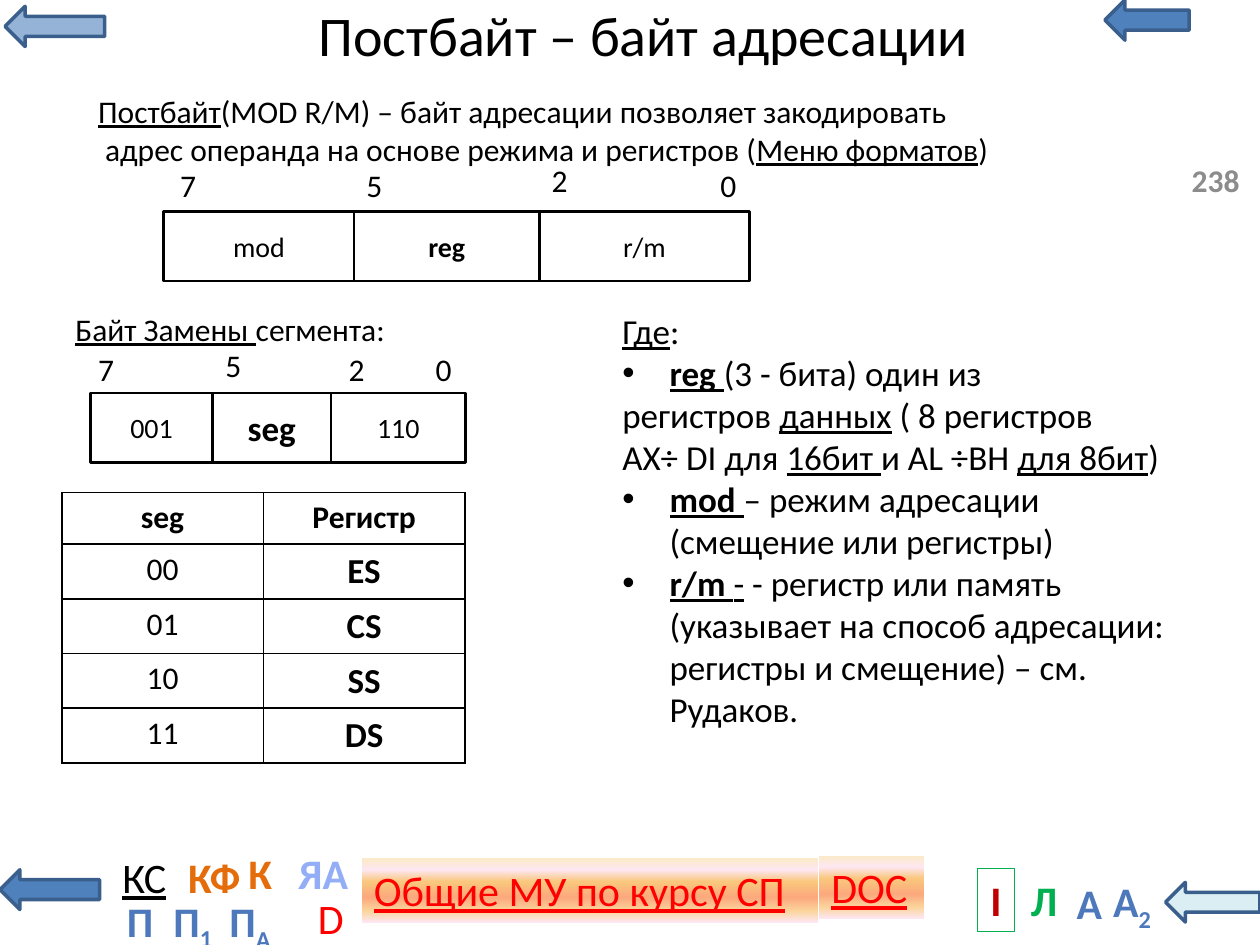
import pptx
import pptx.dml.color
import pptx.enum.shapes
import pptx.enum.text
import pptx.oxml
import pptx.oxml.ns
import pptx.util

Pt = pptx.util.Pt
RGB = pptx.dml.color.RGBColor
SHAPE = pptx.enum.shapes.MSO_SHAPE
ALIGN = pptx.enum.text.PP_ALIGN
ANCHOR = pptx.enum.text.MSO_ANCHOR
NS = pptx.oxml.ns.nsdecls("a")

BLACK = RGB(0x00, 0x00, 0x00)
WHITE = RGB(0xFF, 0xFF, 0xFF)
GRAY = RGB(0x8C, 0x8C, 0x8C)
RED = RGB(0xFF, 0x00, 0x00)
DARK_RED = RGB(0xC0, 0x00, 0x00)
GREEN = RGB(0x00, 0xB0, 0x50)
ORANGE = RGB(0xE4, 0x6C, 0x0A)
LILAC = RGB(0x93, 0xAE, 0xF7)
STEEL = RGB(0x4D, 0x79, 0xBC)
BLUE = RGB(0x4F, 0x81, 0xBD)
PALE = RGB(0x95, 0xB3, 0xD7)
ICE = RGB(0xDB, 0xEE, 0xF4)
EDGE = RGB(0x3A, 0x5F, 0x8C)
GLOW = ((0, "FBEAC7"), (18, "FEE7F2"), (36, "FAC77D"),
        (61, "FBA97D"), (82, "FBD49C"), (100, "FEE7F2"))
SHARES = (0.325, 0.316, 0.359)


def points(*box):
    return [Pt(value) for value in box]


def write(para, runs, size, color=BLACK, align=None):
    """Fill a paragraph from (text, marks) pairs: b bold, u underline, s subscript."""
    para.alignment = align
    for text, marks in runs:
        run = para.add_run()
        run.text = text
        font = run.font
        font.name, font.size = "Calibri", Pt(size)
        font.bold, font.underline = "b" in marks, "u" in marks
        font.color.rgb = color
        if "s" in marks:
            run._r.get_or_add_rPr().set("baseline", "-25000")


def add_text(slide, box, lines, size, color=BLACK, align=None, wrap=True, anchor=ANCHOR.TOP):
    frame = slide.shapes.add_textbox(*points(*box)).text_frame
    frame.word_wrap, frame.vertical_anchor = wrap, anchor
    for index, runs in enumerate(lines):
        para = frame.add_paragraph() if index else frame.paragraphs[0]
        write(para, runs, size, color, align)
    return frame


def add_shape(shapes, kind, box, fill=None, line=None, width=0.75):
    shape = shapes.add_shape(kind, *points(*box))
    shape.shadow.inherit = False
    if fill is None:
        shape.fill.background()
    else:
        shape.fill.solid()
        shape.fill.fore_color.rgb = fill
    if line is None:
        shape.line.fill.background()
    else:
        shape.line.color.rgb, shape.line.width = line, Pt(width)
    return shape


def add_link(slide, box, text):
    """A red underlined label on a glowing band."""
    shape = add_shape(slide.shapes, SHAPE.RECTANGLE, box)
    stops = "".join(f'<a:gs pos="{at * 1000}"><a:srgbClr val="{tone}"/></a:gs>'
                    for at, tone in GLOW)
    blend = pptx.oxml.parse_xml(
        f'<a:gradFill {NS} rotWithShape="1"><a:gsLst>{stops}</a:gsLst>'
        '<a:lin ang="5400000" scaled="0"/></a:gradFill>')
    props = shape._element.spPr
    props.replace(props.find(pptx.oxml.ns.qn("a:noFill")), blend)
    frame = shape.text_frame
    frame.vertical_anchor = ANCHOR.TOP
    write(frame.paragraphs[0], [(text, "u")], 24, RED, ALIGN.LEFT)


def add_frame(slide, box, text, marks, color, line):
    shape = add_shape(slide.shapes, SHAPE.RECTANGLE, box, line=line)
    frame = shape.text_frame
    frame.vertical_anchor, frame.word_wrap = ANCHOR.TOP, False
    write(frame.paragraphs[0], [(text, marks)], 24, color, ALIGN.CENTER)


def add_menu(slide, box):
    """The bottom bar of links, placed from the box's left top corner."""
    left, top, width, high = box
    for x, y, wide, fill in ((0, 16, 56.9, BLUE), (width - 54, 23.2, 54, ICE)):
        add_shape(slide.shapes, SHAPE.LEFT_ARROW, (left + x, top + y, wide, 22.7), fill, EDGE, 2)
    add_link(slide, (left + 206.6, top + 9.5, 260.6, 36.7), "Общие МУ по курсу СП")
    add_link(slide, (left + 468, top + 8, 60.2, high), "DOC")
    for x, y, wide, text, marks, color, line in (
            (175, 25.4, 28.1, "D", "", RED, WHITE),
            (558.7, 15.3, 20.9, "I", "b", DARK_RED, GREEN),
            (59.8, 2.3, 45.4, "КС", "u", BLACK, WHITE)):
        add_frame(slide, (left + x, top + y, wide, high), text, marks, color, line)
    for x, y, wide, text, sub, color, wrap in (
            (607.7, 16.7, 29.5, "А", "", STEEL, False),
            (134.6, 0, 28.1, "К", "", ORANGE, False),
            (581.8, 15.3, 29.5, "Л", "", GREEN, False),
            (162, 0, 45.4, "ЯА", "", LILAC, False),
            (100.1, 2.3, 44.6, "КФ", "", ORANGE, False),
            (627.8, 16, 38.2, "А", "2", STEEL, True),
            (65.5, 27.4, 23.8, "П", "", STEEL, True),
            (90.7, 27, 38.9, "П", "1", STEEL, True),
            (123.1, 27.4, 39.6, "П", "А", STEEL, True)):
        runs = [(text, "b")] + ([(sub, "bs")] if sub else [])
        add_text(slide, (left + x, top + y, wide, high), [runs], 24, color, ALIGN.CENTER, wrap)


def add_byte(slide, box, fields, bits):
    """Three bit fields side by side, with bit numbers above them."""
    left, top, width, high = box
    group = slide.shapes.add_group_shape()
    x = left
    for share, (text, size, marks) in zip(SHARES, fields):
        cell = add_shape(group.shapes, SHAPE.RECTANGLE, (x, top, width * share, high),
                         WHITE, BLACK, 1.5)
        cell.text_frame.vertical_anchor = ANCHOR.MIDDLE
        write(cell.text_frame.paragraphs[0], [(text, marks)], size, align=ALIGN.CENTER)
        x += width * share
    for text, right, rise in bits:
        add_text(slide, (left + right, top - rise, 23.8, 28.8), [[(text, "")]], 18, wrap=False)


def add_codes(slide, box, rows):
    left, top, width, high = box
    head = 29.5
    table = slide.shapes.add_table(len(rows), 2, *points(*box)).table
    table.first_row = table.horz_banding = False
    for column in table.columns:
        column.width = Pt(width / 2)
    for r, row in enumerate(rows):
        table.rows[r].height = Pt((high - head) / (len(rows) - 1) if r else head)
        for c, text in enumerate(row):
            cell = table.cell(r, c)
            cell.fill.background()
            props = cell._tc.get_or_add_tcPr()
            for index, side in enumerate(("lnL", "lnR", "lnT", "lnB")):
                props.insert(index, pptx.oxml.parse_xml(
                    f'<a:{side} {NS} w="12700"><a:solidFill><a:srgbClr val="000000"/>'
                    f'</a:solidFill></a:{side}>'))
            write(cell.text_frame.paragraphs[0], [(text, "b" if c or not r else "")],
                  20 if c and r else 18, align=ALIGN.CENTER)


def add_notes(slide, box):
    """The list that explains the bit fields."""
    lines = [
        [("Где", "u"), (":", "")],
        [("reg", "bu"), (" ", "u"), ("(3 - бита) один из", "")],
        [("регистров ", ""), ("данных", "u"), (" ( 8 регистров", "")],
        [("AX÷ DI для ", ""), ("16бит ", "u"), ("и AL ÷BH ", ""), ("для 8бит", "u"), (")", "")],
        [("mod", "bu"), (" ", "u"), ("– режим адресации (смещение или регистры)", "")],
        [("r/m ", "bu"), ("-", "u"),
         (" - регистр или память (указывает на способ адресации: "
          "регистры и смещение) – см. Рудаков.", "")],
    ]
    frame = add_text(slide, box, lines, 20)
    for index in (1, 4, 5):
        props = frame.paragraphs[index]._p.get_or_add_pPr()
        props.set("marL", str(Pt(27)))
        props.set("indent", str(Pt(-27)))
        props.append(pptx.oxml.parse_xml(f'<a:buFont {NS} typeface="Arial"/>'))
        props.append(pptx.oxml.parse_xml(f'<a:buChar {NS} char="•"/>'))


def add_head(slide, box):
    left, top, width, high = box
    for x, y, wide, fill in ((2.9, 3.6, 56.9, PALE), (631.4, 0, 48.2, BLUE)):
        add_shape(slide.shapes, SHAPE.LEFT_ARROW, (left + x, top + y, wide, 23), fill, EDGE, 2)
    add_text(slide, (left + 133.2, top - 7.9, 469.4, 55.4), [[("Постбайт – байт адресации", "")]],
             32, align=ALIGN.CENTER, anchor=ANCHOR.MIDDLE)
    add_text(slide, (left + width - 46.1, top + 88.6, 46.1, 28.8), [[("238", "b")]],
             18, GRAY, anchor=ANCHOR.MIDDLE)
    intro = add_text(slide, (left + 49, top + 49, 662.4, high - 49), [
        [("Постбайт", "u"), ("(MOD R/M) – байт адресации позволяет закодировать", "")],
        [("адрес операнда на основе режима и регистров (", ""), ("Меню форматов", "u"), (")", "")],
    ], 18)
    intro.paragraphs[1]._p.get_or_add_pPr().set("marL", str(Pt(4)))


def main():
    deck = pptx.Presentation()
    deck.slide_width, deck.slide_height = Pt(720), Pt(540)
    slide = deck.slides.add_slide(deck.slide_layouts[6])
    add_menu(slide, (0, 481, 720, 36))
    add_head(slide, (0, 0, 720, 100))
    add_byte(slide, (93.6, 121, 334.7, 39.6),
             (("mod", 16, ""), ("reg", 16, "b"), ("r/m", 16, "")),
             (("7", 2.2, 29.5), ("5", 108.7, 29.5), ("2", 214.6, 32.4), ("0", 311, 29.5)))
    add_notes(slide, (348.5, 173.5, 347, 249.8))
    add_text(slide, (36, 173.5, 219.6, 28.8), [[("Байт Замены ", "u"), ("сегмента:", "")]], 18)
    add_byte(slide, (51.8, 224.6, 214.2, 39.6),
             (("001", 16, ""), ("seg", 20, "b"), ("110", 16, "")),
             (("7", -2.8, 28), ("5", 69.9, 30.2), ("2", 140.4, 28), ("0", 190.1, 28)))
    add_codes(slide, (35.3, 281.5, 230.4, 154.1),
              (("seg", "Регистр"), ("00", "ES"), ("01", "CS"), ("10", "SS"), ("11", "DS")))
    deck.save("out.pptx")


if __name__ == "__main__":
    main()
